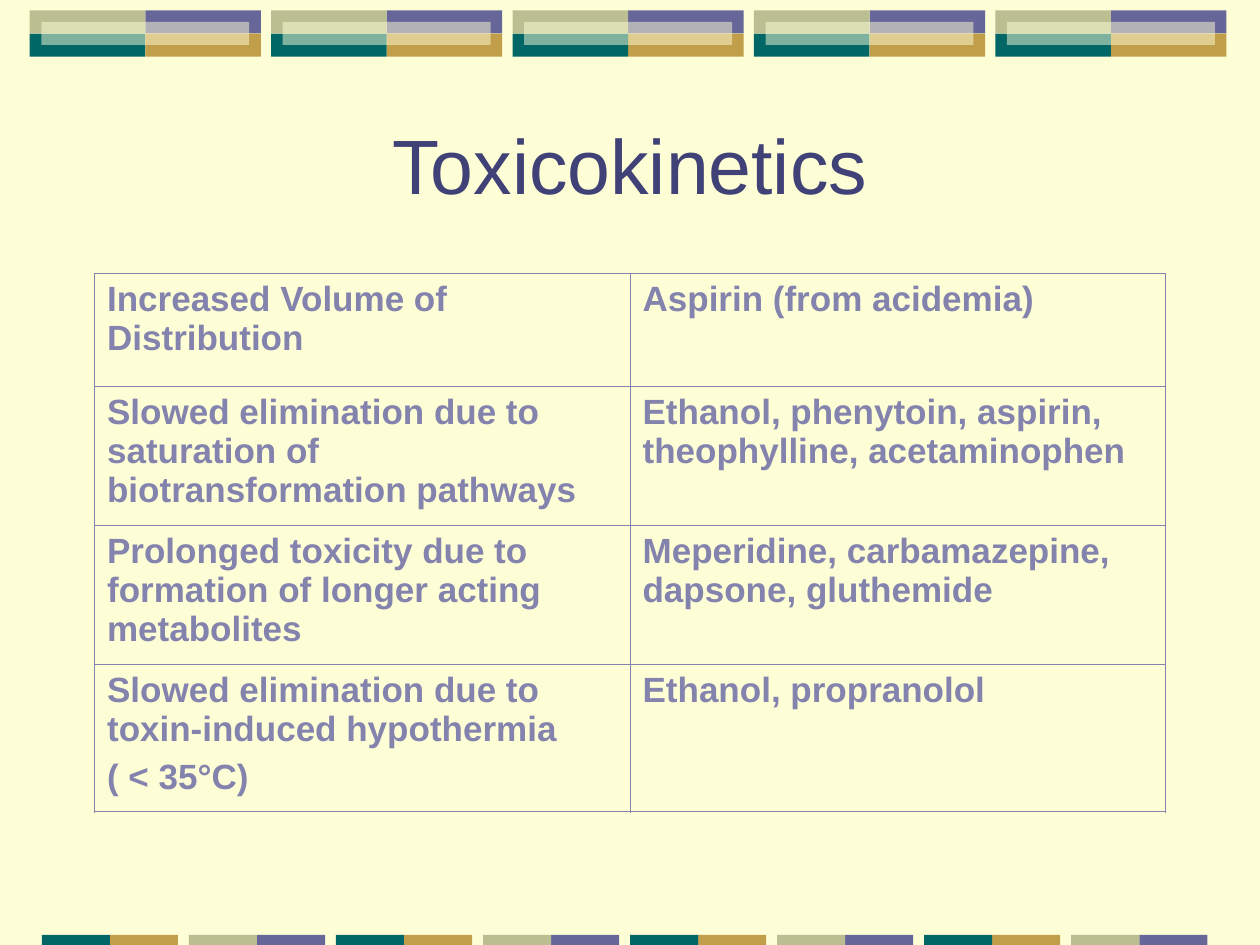
from dataclasses import dataclass

from lxml import etree
from pptx import Presentation
from pptx.dml.color import RGBColor
from pptx.enum.shapes import MSO_SHAPE
from pptx.enum.text import MSO_ANCHOR, PP_ALIGN
from pptx.oxml.ns import qn
from pptx.util import Inches, Pt

RECT = MSO_SHAPE.RECTANGLE
MIDDLE = MSO_ANCHOR.MIDDLE
CENTER = PP_ALIGN.CENTER


@dataclass(frozen=True)
class Theme:
    cream: str = "FEFED6"
    purple: str = "666699"
    gold: str = "C09E4A"
    teal: str = "006666"
    olive: str = "BABE90"
    title: str = "404176"
    table: str = "8383AD"
    font: str = "Arial"
    title_size: float = 44
    table_size: float = 20
    outer_line: float = 1.08
    inner_line: float = 0.45


THEME = Theme()

ROWS = [
    ("Increased Volume of Distribution", "Aspirin (from acidemia)"),
    ("Slowed elimination due to saturation of biotransformation pathways",
     "Ethanol, phenytoin, aspirin, theophylline, acetaminophen"),
    ("Prolonged toxicity due to formation of longer acting metabolites",
     "Meperidine, carbamazepine, dapsone, gluthemide"),
    ("Slowed elimination due to toxin-induced hypothermia\n( < 35°C)",
     "Ethanol, propranolol"),
]
ROW_HEIGHTS = [0.9, 1.1, 1.1, 1.17]


def set_font(p, size, color, bold=False):
    p.font.name = THEME.font
    p.font.size = Pt(size)
    p.font.bold = bold
    p.font.color.rgb = RGBColor.from_string(color)


def add_block(s, x, y, w, h, color, alpha=None):
    sp = s.shapes.add_shape(RECT, Inches(x), Inches(y), Inches(w), Inches(h))
    sp.shadow.inherit = False
    sp.fill.solid()
    sp.fill.fore_color.rgb = RGBColor.from_string(color)
    sp.line.fill.background()
    if alpha is not None:
        clr = sp.fill._xPr.find(qn("a:solidFill"))[0]
        etree.SubElement(clr, qn("a:alpha"), val=str(alpha * 1000))


def add_top_band(s):
    w, h, top = 0.917, 0.183, 0.083
    for i in range(5):
        x = 0.236 + i * 1.916
        add_block(s, x + w, top, w, h, THEME.purple)
        add_block(s, x + w, top + h, w, h, THEME.gold)
        add_block(s, x, top + h, w, h, THEME.teal)
        add_block(s, x, top, w, h, THEME.olive)
        add_block(s, x + w / 10, top + h / 2, w * 1.8, h, THEME.cream, alpha=50)


def add_bottom_band(s):
    w, h, top = 0.54, 0.08, 7.42
    pairs = [(THEME.teal, THEME.gold), (THEME.olive, THEME.purple)]
    for i in range(8):
        x = 0.333 + i * 1.167
        left, right = pairs[i % 2]
        add_block(s, x + w, top, w, h, right)
        add_block(s, x, top, w, h, left)


def add_title(s, text):
    tf = s.shapes.add_textbox(Inches(0.75), Inches(0.67),
                              Inches(8.5), Inches(1.25)).text_frame
    tf.word_wrap = True
    tf.vertical_anchor = MIDDLE
    p = tf.paragraphs[0]
    p.text = text
    p.alignment = CENTER
    set_font(p, THEME.title_size, THEME.title)


def set_borders(cell, outer_sides):
    tcPr = cell._tc.get_or_add_tcPr()
    for side in "LRTB":
        width = THEME.outer_line if side in outer_sides else THEME.inner_line
        ln = etree.SubElement(tcPr, qn(f"a:ln{side}"), w=str(int(Pt(width))))
        fill = etree.SubElement(ln, qn("a:solidFill"))
        etree.SubElement(fill, qn("a:srgbClr"), val=THEME.table)


def add_table(s, rows, heights):
    n_rows, n_cols = len(rows), len(rows[0])
    table = s.shapes.add_table(n_rows, n_cols, Inches(0.75), Inches(2.17),
                               Inches(8.5), Inches(sum(heights))).table
    table.first_row = False
    table.horz_banding = False
    for r, (texts, height) in enumerate(zip(rows, heights)):
        table.rows[r].height = Inches(height)
        for c, text in enumerate(texts):
            cell = table.cell(r, c)
            edges = {"L": c == 0, "R": c == n_cols - 1,
                     "T": r == 0, "B": r == n_rows - 1}
            set_borders(cell, [side for side in edges if edges[side]])
            cell.fill.background()
            cell.text = text
            for p in cell.text_frame.paragraphs:
                p.space_before = Pt(5)
                set_font(p, THEME.table_size, THEME.table, bold=True)


def main():
    prs = Presentation()
    prs.slide_width, prs.slide_height = Inches(10), Inches(7.5)
    s = prs.slides.add_slide(prs.slide_layouts[6])
    s.background.fill.solid()
    s.background.fill.fore_color.rgb = RGBColor.from_string(THEME.cream)

    # Decorative bands
    add_top_band(s)
    add_bottom_band(s)

    # Content
    add_title(s, "Toxicokinetics")
    add_table(s, ROWS, ROW_HEIGHTS)

    prs.save("out.pptx")


if __name__ == "__main__":
    main()
